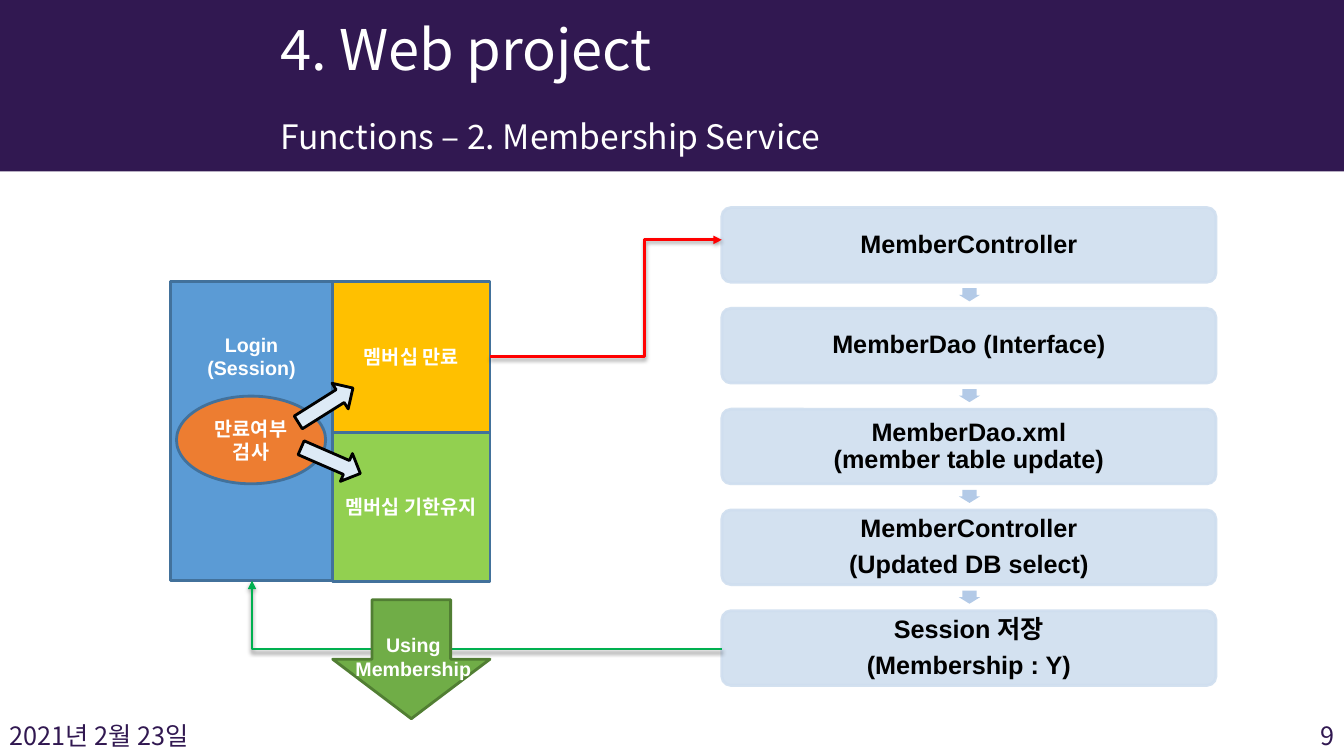
from lxml import etree
from pptx import Presentation
from pptx.dml.color import RGBColor
from pptx.enum.shapes import MSO_CONNECTOR as LINK, MSO_SHAPE as SHAPE
from pptx.enum.text import MSO_ANCHOR as ANCHOR, PP_ALIGN as ALIGN
from pptx.oxml.ns import qn
from pptx.util import Pt

PX = 9144  # one px is a hundredth of an inch
WIDTH, HEIGHT = 1333, 750

PURPLE = RGBColor(0x31, 0x18, 0x51)
WHITE = RGBColor(0xFF, 0xFF, 0xFF)
BLACK = RGBColor(0x00, 0x00, 0x00)
PALE_BLUE = RGBColor(0xCF, 0xDE, 0xEF)
STEP_ARROW = RGBColor(0xB3, 0xCA, 0xE7)
CHECK_ARROW = RGBColor(0xDD, 0xEA, 0xF6)
BLUE = RGBColor(0x5B, 0x9B, 0xD5)
NAVY = RGBColor(0x42, 0x71, 0x9B)
LIME = RGBColor(0x92, 0xD0, 0x50)
AMBER = RGBColor(0xFF, 0xC0, 0x00)
ORANGE = RGBColor(0xED, 0x7D, 0x31)
GREEN = RGBColor(0x70, 0xAD, 0x47)
DARK_GREEN = RGBColor(0x51, 0x7E, 0x33)
RED_LINK = RGBColor(0xFF, 0x00, 0x00)
GREEN_LINK = RGBColor(0x00, 0xB0, 0x50)

KOREAN = "Noto Sans CJK KR"
LABEL = {"name": "Arial", "size": Pt(14), "bold": True}
STEP = {"name": "Arial", "size": Pt(18), "bold": True}

STEPS = [
    ["MemberController"],
    ["MemberDao (Interface)"],
    ["MemberDao.xml\v(member table update)"],
    ["MemberController", "(Updated DB select)"],
    ["Session 저장", "(Membership : Y)"],
]


def emu(*lengths):
    return [round(length * PX) for length in lengths]


def write(shape, lines, font, color, align=ALIGN.CENTER, anchor=ANCHOR.MIDDLE,
          margins=(10, 5, 10, 5), spacing=None, gap=0):
    frame = shape.text_frame
    frame.word_wrap = True
    frame.vertical_anchor = anchor
    sides = ("margin_left", "margin_top", "margin_right", "margin_bottom")
    for side, margin in zip(sides, emu(*margins)):
        setattr(frame, side, margin)
    for index, line in enumerate(lines):
        para = frame.add_paragraph() if index else frame.paragraphs[0]
        para.text = line
        para.alignment = align
        para.line_spacing = spacing
        if index and gap:
            para.space_before = Pt(gap)
        for span in para.runs:
            for key, value in font.items():
                setattr(span.font, key, value)
            span.font.color.rgb = color
            east = etree.SubElement(span.font._element, qn("a:ea"))
            east.set("typeface", KOREAN)


def add_text(page, box, lines, font, color, **layout):
    write(page.shapes.add_textbox(*emu(*box)), lines, font, color, **layout)


def add_figure(page, kind, box, fill, line=None, rotation=0, adjust=()):
    figure = page.shapes.add_shape(kind, *emu(*box))
    figure.shadow.inherit = False
    figure.fill.solid()
    figure.fill.fore_color.rgb = fill
    figure.rotation = rotation
    for index, value in enumerate(adjust):
        figure.adjustments[index] = value
    if line is None:
        figure.line.fill.background()
    else:
        figure.line.color.rgb = line
        figure.line.width = Pt(2)
    return figure


def add_link(page, start, end, color, preset, bend=None):
    link = page.shapes.add_connector(LINK.ELBOW, *emu(*start, *end))
    link.line.color.rgb = color
    link.line.width = Pt(2)
    properties = link._element.spPr
    # Bend of the route
    geometry = properties.find(qn("a:prstGeom"))
    geometry.set("prst", preset)
    if bend is not None:
        guides = geometry.find(qn("a:avLst"))
        if guides is None:
            guides = etree.SubElement(geometry, qn("a:avLst"))
        etree.SubElement(guides, qn("a:gd"), name="adj1", fmla=f"val {bend}")
    # Arrowhead and soft shadow
    etree.SubElement(properties.find(qn("a:ln")), qn("a:tailEnd"), type="triangle")
    effects = etree.SubElement(properties, qn("a:effectLst"))
    shadow = etree.SubElement(effects, qn("a:outerShdw"), blurRad=str(Pt(3.1)),
                              dist=str(Pt(1.6)), dir="5400000", rotWithShape="0")
    shade = etree.SubElement(shadow, qn("a:srgbClr"), val="000000")
    etree.SubElement(shade, qn("a:alpha"), val="38000")


def draw_header(page, box):
    left, top, width, height = box
    add_figure(page, SHAPE.RECTANGLE, box, PURPLE)
    for text, size, offset, room in (
            ("4. Web project", 40, 10, 77),
            ("Functions – 2. Membership Service", 24, 110, 55)):
        add_text(page, (left + 268, top + offset, 602, room), [text],
                 {"name": KOREAN, "size": Pt(size)}, WHITE,
                 align=ALIGN.LEFT, anchor=ANCHOR.TOP)


def draw_footer(page, box):
    left, top, width, height = box
    font = {"name": KOREAN, "size": Pt(18)}
    add_text(page, (left, top, 300, height), ["2021년 2월 23일"], font, PURPLE,
             align=ALIGN.LEFT)
    add_text(page, (left + width - 300, top, 300, height), ["9"], font, PURPLE,
             align=ALIGN.RIGHT)


def draw_steps(page, box):
    left, top, width, height = box
    pitch, card = 100, 74
    for index, lines in enumerate(STEPS):
        y = top + index * pitch
        step = add_figure(page, SHAPE.ROUNDED_RECTANGLE, (left, y, width, card),
                          PALE_BLUE, PALE_BLUE, adjust=[0.12])
        for color in step._element.spPr.iter(qn("a:srgbClr")):
            etree.SubElement(color, qn("a:alpha"), val="90000")
        write(step, lines, STEP, BLACK, margins=(4, 4, 4, 4), spacing=0.9, gap=6.3)
        if index:
            add_figure(page, SHAPE.RIGHT_ARROW,
                       (left + width / 2 - 6, y - 24, 13, 21), STEP_ARROW,
                       rotation=90, adjust=[0.667, 0.5])


def draw_session(page, box):
    left, top, width, height = box
    login, half = 161, 150
    side, middle = left + login, top + half
    # Login panel and the two outcomes
    panel = add_figure(page, SHAPE.RECTANGLE, (left, top, login, height), BLUE, NAVY)
    write(panel, ["Login", "(Session)"], LABEL, WHITE, anchor=ANCHOR.TOP,
          margins=(10, 51, 10, 5))
    for text, y, room, fill in (
            ("멤버십 기한유지", middle, height - half + 1, LIME),
            ("멤버십 만료", top, half, AMBER)):
        outcome = add_figure(page, SHAPE.RECTANGLE, (side, y, width - login, room),
                             fill, NAVY)
        write(outcome, [text], LABEL, WHITE)
    # Expiry check
    check = add_figure(page, SHAPE.OVAL, (left + 6, top + 114, 148, 87), ORANGE, NAVY)
    write(check, ["만료여부 검사"], LABEL, WHITE)
    for x, y, angle in ((122, 108, 327.8), (127, 163, 23.5)):
        add_figure(page, SHAPE.RIGHT_ARROW, (left + x, top + y, 64, 30),
                   CHECK_ARROW, BLACK, rotation=angle)


def draw_usage(page, box):
    left, top, width, height = box
    add_figure(page, SHAPE.DOWN_ARROW, box, GREEN, DARK_GREEN)
    add_text(page, (left + 10, top + 28, width - 16, 57), ["Using", "Membership"],
             LABEL, WHITE, anchor=ANCHOR.TOP)


def main():
    deck = Presentation()
    deck.slide_width, deck.slide_height = emu(WIDTH, HEIGHT)
    page = deck.slides.add_slide(deck.slide_layouts[6])
    draw_header(page, (0, 0, WIDTH, 170))
    draw_footer(page, (0, 710, WIDTH, 40))
    draw_steps(page, (716, 206, 490, 474))
    draw_session(page, (169, 279, 317, 297))
    # Routes between the session and the steps
    add_link(page, (486, 354), (716, 238), RED_LINK, "bentConnector3", 66700)
    add_link(page, (716, 644), (250, 576), GREEN_LINK, "bentConnector2")
    draw_usage(page, (330, 595, 156, 118))
    deck.save("out.pptx")


if __name__ == "__main__":
    main()
